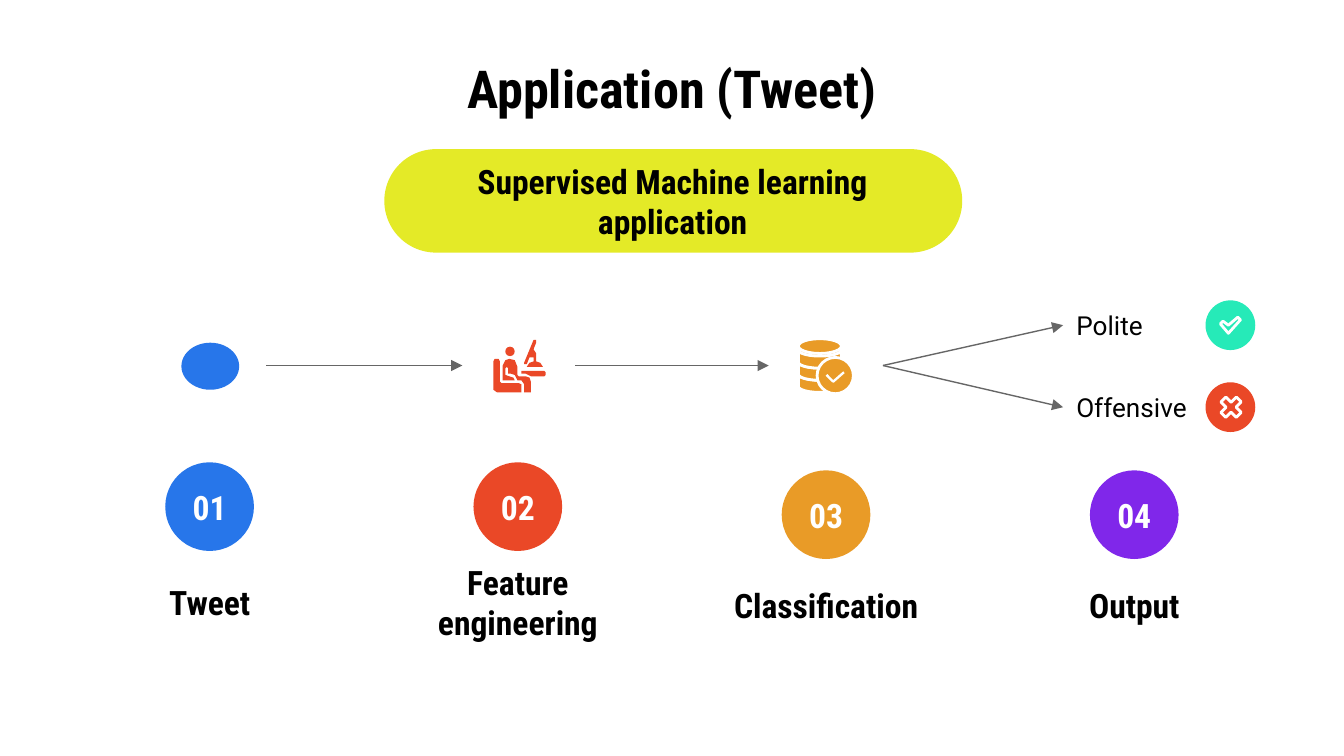
from lxml.etree import SubElement
from pptx import Presentation
from pptx.dml.color import RGBColor
from pptx.enum.shapes import MSO_CONNECTOR as Connector, MSO_SHAPE as Shape
from pptx.enum.text import MSO_ANCHOR as Anchor, MSO_AUTO_SIZE as AutoSize, PP_ALIGN as Align
from pptx.oxml.ns import qn
from pptx.util import Inches, Pt

WIDTH = 10
HEIGHT = WIDTH * 9 / 16
BLACK, WHITE, GRAY = "000000", "FFFFFF", "666666"
BLUE, RED, ORANGE, PURPLE = "2776EA", "EA4827", "E99B27", "8027EA"
LIME, TEAL = "E4EA27", "26EAB8"
HEADING, BODY = "Roboto Condensed", "Roboto"

TITLE = "Application (Tweet)"
SUBTITLE = "Supervised Machine learning application"
STEPS = [
    ("01", "Tweet", BLUE, 3.44, 4.3),
    ("02", "Feature engineering", RED, 3.44, 4.3),
    ("03", "Classification", ORANGE, 3.5, 4.32),
    ("04", "Output", PURPLE, 3.5, 4.32),
]
OUTPUTS = [("Polite", TEAL, 2.42), ("Offensive", RED, 3.03)]
FLOW_Y = 2.72
ARROWS = [(1.98, 3.44, FLOW_Y), (4.28, 5.72, FLOW_Y)] + [
    (6.57, 7.91, middle) for _, _, middle in OUTPUTS
]
MARGIN, COLUMN, CIRCLE, CAPTION = 0.5, 2.12, 0.66, 0.36
STEP_GAP = (WIDTH - 2 * MARGIN - COLUMN) / (len(STEPS) - 1)
OUTPUT_X, OUTPUT_WIDTH, BADGE = 7.91, 1.06, 0.37

MICROSCOPE = [(397, 253), (399, 253), (399, 255), (397, 260), (399, 263), (399, 269),
              (402, 270), (404, 273), (392, 273), (394, 270), (397, 269), (397, 266),
              (394, 266), (392, 271), (390, 271), (390, 270)]
CHAIR = [(367, 269), (368, 267), (371, 267), (372, 269), (372, 284), (373, 285),
         (386, 285), (388, 286), (388, 292), (370, 292), (367, 290)]
PERSON = [(374, 272), (376, 268), (379, 267), (383, 268), (385, 273), (385, 279),
          (386, 280), (391, 280), (394, 281), (395, 284), (395, 292), (390, 292),
          (390, 286), (388, 283), (385, 283), (383, 279), (380, 278), (378, 278),
          (378, 274), (377, 273), (376, 274), (376, 279), (379, 280), (382, 281),
          (383, 283), (374, 283)]
DESK = [(388, 276), (405, 276), (406, 277), (406, 279), (405, 280), (395, 280),
        (391, 278), (388, 278)]
TICK = [(615, 279), (620, 284), (628, 277)]
CHECK = [(908, 241), (910, 239), (914, 242), (921, 236), (923, 238), (914, 248)]


def color(value):
    """Return the colour of a hex string."""
    return RGBColor.from_string(value)


def paint(shape, fill, line=None, weight=1):
    """Set fill and outline; None leaves either out."""
    shape.shadow.inherit = False
    if fill:
        shape.fill.solid()
        shape.fill.fore_color.rgb = color(fill)
    else:
        shape.fill.background()
    if line:
        shape.line.color.rgb = color(line)
        shape.line.width = Pt(weight)
    else:
        shape.line.fill.background()
    return shape


def add_preset(page, kind, left, top, width, height, fill, line=None, weight=1):
    """Add a painted preset shape."""
    lengths = map(Inches, (left, top, width, height))
    return paint(page.shapes.add_shape(kind, *lengths), fill, line, weight)


def add_outline(page, points, fill, line=None, weight=1, close=True):
    """Add a freeform through points in hundredths of an inch."""
    builder = page.shapes.build_freeform(*points[0], scale=Inches(0.01))
    builder.add_line_segments(points[1:], close=close)
    return paint(builder.convert_to_shape(), fill, line, weight)


def write(shape, text, size, font=HEADING, fill=BLACK, bold=True, align=Align.CENTER):
    """Write one formatted, vertically centred paragraph into a shape."""
    frame = shape.text_frame
    frame.text = text
    frame.word_wrap, frame.auto_size = True, AutoSize.NONE
    frame.vertical_anchor = Anchor.MIDDLE
    frame.margin_left = frame.margin_right = Inches(0.1)
    frame.margin_top = frame.margin_bottom = Inches(0.1)
    para = frame.paragraphs[0]
    para.alignment = align
    span = para.runs[0].font
    span.name, span.size, span.bold = font, Pt(size), bold
    span.color.rgb = color(fill)


def add_text(page, left, top, width, height, text, size, **style):
    """Add a text box with one paragraph."""
    lengths = map(Inches, (left, top, width, height))
    write(page.shapes.add_textbox(*lengths), text, size, **style)


def add_arrow(page, start, end, end_y):
    """Add a flow arrow that starts on the flow line."""
    lengths = map(Inches, (start, FLOW_Y, end, end_y))
    arrow = page.shapes.add_connector(Connector.STRAIGHT, *lengths)
    arrow.line.color.rgb = color(GRAY)
    arrow.line.width = Pt(0.75)
    properties = arrow._element.spPr
    SubElement(properties.find(qn("a:ln")), qn("a:tailEnd"), type="triangle")
    SubElement(properties, qn("a:effectLst"))


def add_icons(page):
    """Draw the icons of the first three steps."""
    add_preset(page, Shape.OVAL, 1.35, 2.55, 0.43, 0.35, BLUE)
    for points in (MICROSCOPE, CHAIR, PERSON, DESK):
        add_outline(page, points, RED)
    add_preset(page, Shape.OVAL, 3.76, 2.58, 0.07, 0.07, RED)
    for layer in (2, 1, 0):
        disk = add_preset(page, Shape.CAN, 5.94, 2.56 + 0.09 * layer, 0.32, 0.18,
                          ORANGE, WHITE, 1.5)
        disk.adjustments[0] = 0.5
    add_preset(page, Shape.OVAL, 5.94, 2.52, 0.32, 0.11, ORANGE, WHITE, 1.5)
    add_preset(page, Shape.OVAL, 6.08, 2.66, 0.27, 0.27, ORANGE, WHITE, 1.5)
    add_outline(page, TICK, None, WHITE, 1.25, close=False)


def main():
    """Build and save the slide."""
    deck = Presentation()
    deck.slide_width, deck.slide_height = Inches(WIDTH), Inches(HEIGHT)
    page = deck.slides.add_slide(deck.slide_layouts[5])
    title = page.shapes.title
    title.left, title.top = Inches(MARGIN), Inches(0.45)
    title.width, title.height = Inches(WIDTH - 2 * MARGIN), Inches(0.41)
    write(title, TITLE, 28)

    pill = add_preset(page, Shape.ROUNDED_RECTANGLE, 2.86, 1.11, 4.3, 0.77, LIME)
    pill.adjustments[0] = 0.5
    add_text(page, 3.01, 1.19, 3.99, 0.61, SUBTITLE, 18)

    add_icons(page)
    for index, (number, label, fill, circle_y, label_y) in enumerate(STEPS):
        left = MARGIN + index * STEP_GAP
        circle_x = left + (COLUMN - CIRCLE) / 2
        circle = add_preset(page, Shape.OVAL, circle_x, circle_y, CIRCLE, CIRCLE, fill)
        write(circle, number, 18, fill=WHITE)
        add_text(page, left, label_y, COLUMN, CAPTION, label, 18)

    for arrow in ARROWS:
        add_arrow(page, *arrow)
    for label, fill, middle in OUTPUTS:
        add_text(page, OUTPUT_X, middle - CAPTION / 2, OUTPUT_WIDTH, CAPTION, label, 14,
                 font=BODY, bold=False, align=Align.LEFT)
        add_preset(page, Shape.OVAL, OUTPUT_X + OUTPUT_WIDTH, middle - BADGE / 2,
                   BADGE, BADGE, fill)
    add_outline(page, CHECK, TEAL, WHITE, 1.5)
    add_preset(page, Shape.MATH_MULTIPLY, 9.05, 2.92, 0.22, 0.22, RED, WHITE, 1.5)
    deck.save("out.pptx")


if __name__ == "__main__":
    main()
